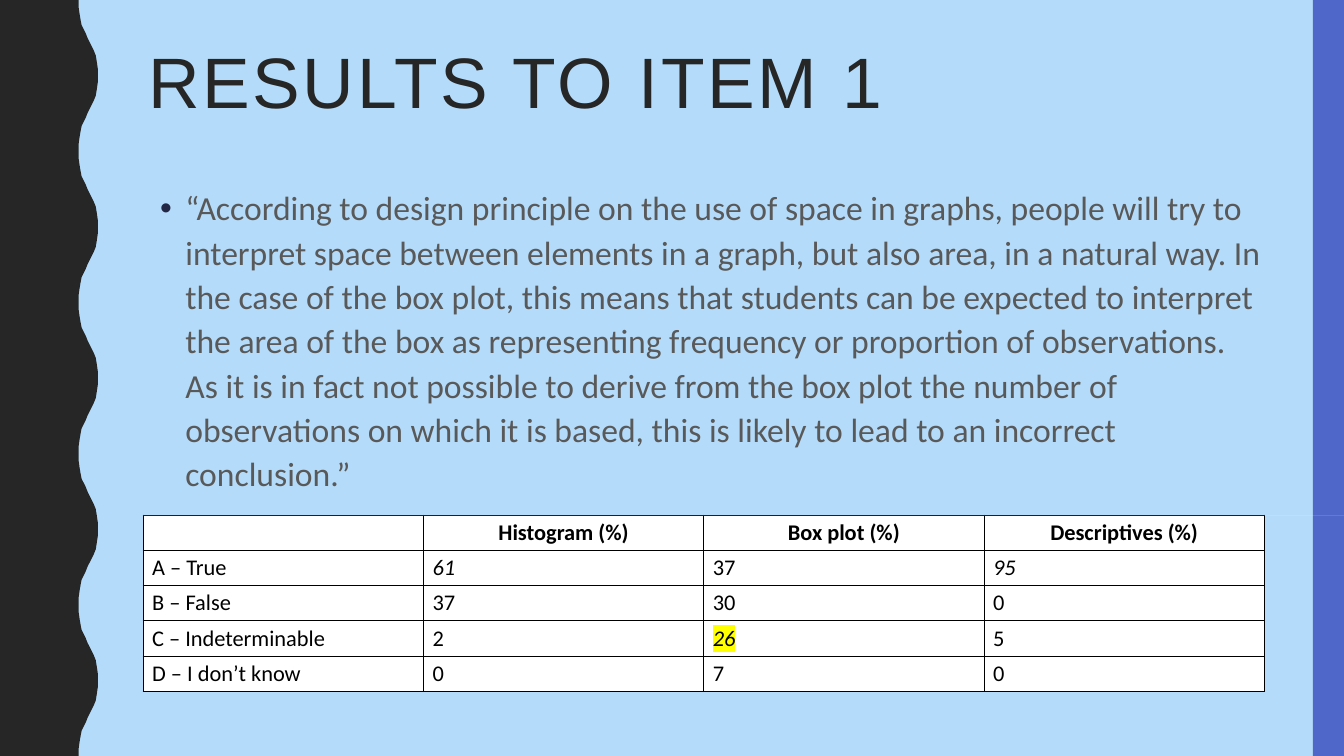
from dataclasses import dataclass

import pptx
import pptx.dml.color
import pptx.enum.shapes
import pptx.enum.text
import pptx.oxml
import pptx.oxml.ns
import pptx.util

Inches = pptx.util.Inches
Pt = pptx.util.Pt
RGBColor = pptx.dml.color.RGBColor
PP_ALIGN = pptx.enum.text.PP_ALIGN

SKY = RGBColor(0xB4, 0xDC, 0xFA)
CHARCOAL = RGBColor(0x26, 0x26, 0x26)
BLUE = RGBColor(0x4E, 0x67, 0xC8)
NAVY = RGBColor(0x21, 0x27, 0x45)
GREY = RGBColor(0x59, 0x59, 0x59)
BLACK = RGBColor(0, 0, 0)
WHITE = RGBColor(0xFF, 0xFF, 0xFF)
YELLOW = RGBColor(0xFF, 0xFF, 0)

WIDTH, HEIGHT = 13.33, 7.5
TABLE_LEFT, TABLE_TOP = 1.42, 5.11
COLUMN_WIDTH, ROW_HEIGHT = 2.78, 0.35

# One rising half of the wavy edge; the falling half mirrors it
WAVE_PERIOD, WAVE_COUNT = 1.5, 5
RISE = [(0.78, 0), (0.78, 0.07), (0.79, 0.14), (0.8, 0.2), (0.81, 0.25),
        (0.83, 0.29), (0.85, 0.33), (0.87, 0.38), (0.89, 0.42), (0.91, 0.46),
        (0.93, 0.5), (0.95, 0.55), (0.96, 0.61), (0.97, 0.68), (0.97, 0.75)]

QUOTE = (
    "“According to design principle on the use of space in graphs, people will "
    "try to interpret space between elements in a graph, but also area, in a "
    "natural way. In the case of the box plot, this means that students can be "
    "expected to interpret the area of the box as representing frequency or "
    "proportion of observations. As it is in fact not possible to derive from "
    "the box plot the number of observations on which it is based, this is "
    "likely to lead to an incorrect conclusion.”"
)


@dataclass
class Entry:
    text: str
    italic: bool = False
    marked: bool = False


@dataclass
class Answer:
    label: str
    results: list[Entry]


HEADINGS = ["", "Histogram (%)", "Box plot (%)", "Descriptives (%)"]
ANSWERS = [
    Answer("A – True", [Entry("61", True), Entry("37"), Entry("95", True)]),
    Answer("B – False", [Entry("37"), Entry("30"), Entry("0")]),
    Answer("C – Indeterminable", [Entry("2"), Entry("26", True, True), Entry("5")]),
    Answer("D – I don’t know", [Entry("0"), Entry("7"), Entry("0")]),
]


def xml_element(tag: str, content: str = "", attributes: str = ""):
    namespace = pptx.oxml.ns.nsdecls("a")
    return pptx.oxml.parse_xml(f"<a:{tag} {namespace} {attributes}>{content}</a:{tag}>")


def color_xml(color: RGBColor) -> str:
    return f'<a:srgbClr val="{color}"/>'


def paint(shape, color: RGBColor) -> None:
    shape.shadow.inherit = False
    shape.fill.solid()
    shape.fill.fore_color.rgb = color
    shape.line.fill.background()


def add_rectangle(page, left: float, top: float, width: float, height: float,
                  color: RGBColor) -> None:
    box = page.shapes.add_shape(
        pptx.enum.shapes.MSO_SHAPE.RECTANGLE,
        Inches(left), Inches(top), Inches(width), Inches(height))
    paint(box, color)


def add_wave(page) -> None:
    fall = [(x, WAVE_PERIOD - y) for x, y in reversed(RISE[:-1])]
    edge = [(x, y + WAVE_PERIOD * turn)
            for turn in range(WAVE_COUNT) for x, y in RISE + fall]
    outline = page.shapes.build_freeform(0, 0)
    outline.add_line_segments(
        [(Inches(x), Inches(y)) for x, y in edge + [(0, HEIGHT)]], close=True)
    paint(outline.convert_to_shape(), CHARCOAL)


def add_text(page, left: float, top: float, width: float, height: float,
             text: str, spacing: float):
    box = page.shapes.add_textbox(
        Inches(left), Inches(top), Inches(width), Inches(height))
    box.text_frame.word_wrap = True
    box.text_frame.text = text
    para = box.text_frame.paragraphs[0]
    para.line_spacing = spacing
    return para


def style(font, name: str, size: float, color: RGBColor) -> None:
    font.name = name
    font.size = Pt(size)
    font.color.rgb = color


def fill_cell(cell, entry: Entry, heading: bool) -> None:
    cell.margin_left = cell.margin_right = Inches(0.09)
    cell.margin_top = cell.margin_bottom = Inches(0.04)
    cell.text_frame.text = entry.text
    para = cell.text_frame.paragraphs[0]
    para.alignment = PP_ALIGN.CENTER if heading else PP_ALIGN.LEFT
    style(para.font, "Calibri", 16, BLACK)
    if not entry.text:
        para._p.append(xml_element("endParaRPr", attributes='sz="1600"'))
    for span in para.runs:
        style(span.font, "Calibri", 16, BLACK)
        span.font.bold = heading
        span.font.italic = entry.italic
        if entry.marked:
            solid = span.font._element.find(pptx.oxml.ns.qn("a:solidFill"))
            solid.addnext(xml_element("highlight", color_xml(YELLOW)))
    cell.fill.solid()
    cell.fill.fore_color.rgb = WHITE
    properties = cell._tc.get_or_add_tcPr()
    for index, side in enumerate(["lnL", "lnR", "lnT", "lnB"]):
        properties.insert(index, xml_element(
            side, f"<a:solidFill>{color_xml(BLACK)}</a:solidFill>",
            f'w="{Pt(0.75)}"'))


def add_results(page) -> None:
    rows = [[Entry(heading) for heading in HEADINGS]]
    rows += [[Entry(answer.label)] + answer.results for answer in ANSWERS]
    table = page.shapes.add_table(
        len(rows), len(HEADINGS), Inches(TABLE_LEFT), Inches(TABLE_TOP),
        Inches(COLUMN_WIDTH * len(HEADINGS)), Inches(ROW_HEIGHT * len(rows))).table
    table.horz_banding = False
    for column in table.columns:
        column.width = Inches(COLUMN_WIDTH)
    for row_index, row in enumerate(rows):
        table.rows[row_index].height = Inches(ROW_HEIGHT)
        for column_index, entry in enumerate(row):
            fill_cell(table.cell(row_index, column_index), entry, row_index == 0)


def main() -> None:
    deck = pptx.Presentation()
    deck.slide_width, deck.slide_height = Inches(WIDTH), Inches(HEIGHT)
    page = deck.slides.add_slide(deck.slide_layouts[6])

    # Background and side bands
    page.background.fill.solid()
    page.background.fill.fore_color.rgb = SKY
    add_wave(page)
    add_rectangle(page, 13.02, 0, 0.31, HEIGHT, BLUE)

    # Title
    title = add_text(page, 1.37, 0.42, 11.13, 1.63, "RESULTS TO ITEM 1", 0.9)
    style(title.runs[0].font, "Arial", 51, CHARCOAL)
    title.runs[0].font._element.set("spc", "200")

    # Quotation
    quote = add_text(page, 1.49, 1.77, 11.13, 3.93, QUOTE, 1.1)
    properties = quote._p.get_or_add_pPr()
    properties.set("marL", str(Inches(0.25)))
    properties.set("indent", str(Inches(-0.25)))
    properties.append(xml_element("buClr", color_xml(NAVY)))
    properties.append(xml_element("buFont", attributes='typeface="Arial"'))
    properties.append(xml_element("buChar", attributes='char="•"'))
    style(quote.runs[0].font, "Calibri", 24, GREY)

    # Results table and the hairline along its top
    add_results(page)
    add_rectangle(page, TABLE_LEFT, TABLE_TOP, WIDTH - TABLE_LEFT, 0, WHITE)

    deck.save("out.pptx")


if __name__ == "__main__":
    main()
